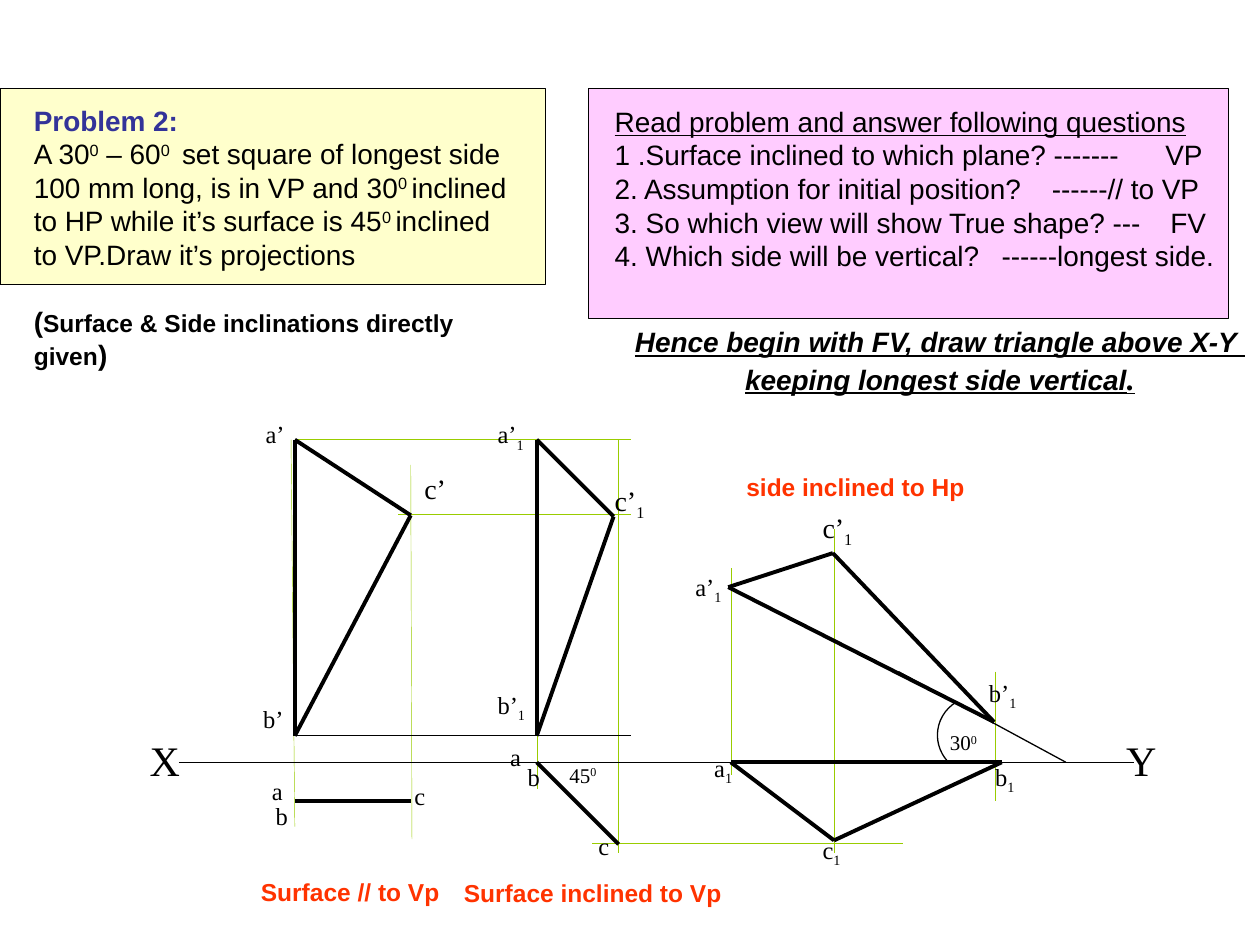
import itertools

import pptx
import pptx.dml.color
import pptx.enum.shapes
import pptx.enum.text
import pptx.oxml
import pptx.oxml.ns
import pptx.util

SANS, SERIF = "Arial", "Times New Roman"
BLACK, GREEN, RED, NAVY = "000000", "99CC00", "FF3300", "333399"
XY = 6.05  # height of the reference line
TOP, BASE = 3.49, 5.84  # ends of the vertical longest side
SUPER, SUB = 30, -25
NOTE = {"name": SANS, "size": pptx.util.Pt(14), "bold": True}
BODY = {"name": SANS, "size": pptx.util.Pt(16)}

# Closed views of the set square, corner by corner.
TRIANGLES = [
    [(2.34, TOP), (3.26, 4.09), (2.34, BASE)],
    [(4.26, TOP), (4.87, 4.1), (4.26, BASE)],
    [(5.78, 4.66), (6.61, 4.39), (7.89, 5.73)],
    [(5.8, XY), (6.62, 6.67), (7.95, XY)],
]
EDGE_VIEWS = [[(2.34, 6.36), (3.26, 6.36)], [(4.26, XY), (4.91, 6.7)]]
PROJECTORS = [
    [(4.91, TOP), (4.91, 6.77)], [(3.26, 3.69), (3.27, 6.66)],
    [(2.31, TOP), (2.34, 6.56)], [(4.26, TOP), (4.26, 6.26)],
    [(2.34, TOP), (5.01, TOP)], [(3.16, 4.08), (5.01, 4.08)],
    [(5.8, 4.51), (5.8, 6.15)], [(6.62, 4.2), (6.62, 6.77)],
    [(7.9, 5.33), (7.9, 6.36)], [(4.7, 6.69), (7.17, 6.69)],
]
THIN_LINES = [
    [(1.42, XY), (9, XY)], [(2.34, BASE), (5.01, BASE)],
    [(7.13, 5.33), (8.46, XY)],
]

# Text, left, top, width, size; text between bars is set off the baseline.
LABELS = [
    ("X", 1.09, 5.78, 0.44, 24), ("Y", 8.84, 5.78, 0.44, 24),
    ("a’", 2.01, 3.28, 0.41, 14), ("b’", 1.99, 5.54, 0.36, 14),
    ("c’", 3.27, 3.69, 0.37, 16),
    ("a", 2.06, 6.11, 0.28, 14), ("b", 2.09, 6.31, 0.3, 14),
    ("c", 3.19, 6.15, 0.28, 14),
    ("a’|1|", 3.85, 3.28, 0.41, 14), ("b’|1|", 3.85, 5.43, 0.42, 14),
    ("c’|1|", 4.78, 3.79, 0.5, 16),
    ("a", 3.95, 5.84, 0.28, 14), ("b", 4.09, 6, 0.3, 14),
    ("c", 4.65, 6.55, 0.28, 14),
    ("a’|1|", 5.42, 4.49, 0.41, 14), ("b’|1|", 7.75, 5.33, 0.42, 14),
    ("c’|1|", 6.43, 4, 0.5, 16),
    ("a|1|", 5.57, 5.93, 0.34, 14), ("b|1|", 7.8, 6, 0.36, 14),
    ("c|1|", 6.43, 6.58, 0.34, 14),
]
ANGLES = [("30|0|", 7.44, 5.74, 0.42, 12), ("45|0|", 4.42, 6, 0.42, 12)]
CAPTIONS = [
    ("Surface // to Vp", 1.92, 6.91, 1.72),
    ("Surface inclined to Vp", 3.53, 6.92, 2.35),
    ("side inclined to Hp", 5.69, 3.7, 2.2),
]
PROBLEM = [
    "A 30|0| – 60|0 | set square of longest side",
    "100 mm long, is in VP and 30|0 |inclined",
    "to HP while it’s surface is 45|0 |inclined",
    "to VP.Draw it’s projections",
]
# Question, answer, tab stop before the answer.
QUESTIONS = [
    ("1 .Surface inclined to which plane? -------", "VP", 4.37),
    ("2. Assumption for initial position?", "------// to VP", 3.47),
    ("3. So which view will show True shape? ---", "FV", 4.41),
    ("4. Which side will be vertical?", "------longest side.", 3.07),
]


def color(value):
    return pptx.dml.color.RGBColor.from_string(value)


def inches(*lengths):
    return [pptx.util.Inches(length) for length in lengths]


def add_line(page, start, end, line_color, width):
    line = page.shapes.add_connector(
        pptx.enum.shapes.MSO_CONNECTOR.STRAIGHT, *inches(*start, *end))
    line.line.color.rgb = color(line_color)
    line.line.width = pptx.util.Pt(width)
    effects = pptx.oxml.parse_xml(
        "<a:effectLst %s/>" % pptx.oxml.ns.nsdecls("a"))
    line._element.spPr.append(effects)


def add_outline(page, kind, place, fill=None):
    """Add a thin black outline shape, filled when a colour is given."""
    shape = page.shapes.add_shape(kind, *inches(*place))
    shape.shadow.inherit = False
    shape.line.color.rgb = color(BLACK)
    shape.line.width = pptx.util.Pt(0.75)
    if fill:
        shape.fill.solid()
        shape.fill.fore_color.rgb = color(fill)
    else:
        shape.fill.background()
    return shape


def add_text_box(page, place, wrap=False):
    box = page.shapes.add_textbox(*inches(*place))
    box.text_frame.word_wrap = wrap
    box.text_frame.auto_size = pptx.enum.text.MSO_AUTO_SIZE.SHAPE_TO_FIT_TEXT
    return box.text_frame


def add_spans(para, text, formats, text_color=BLACK, shift=SUPER):
    """Add text as runs; every second piece between bars is shifted."""
    for index, piece in enumerate(text.split("|")):
        if not piece:
            continue
        span = para.add_run()
        span.text = piece
        for key, value in formats.items():
            setattr(span.font, key, value)
        span.font.color.rgb = color(text_color)
        if index % 2:
            span._r.get_or_add_rPr().set("baseline", str(shift * 1000))


def add_tab_stop(para, position):
    para._p.get_or_add_pPr().append(pptx.oxml.parse_xml(
        '<a:tabLst %s><a:tab pos="%d" algn="l"/></a:tabLst>'
        % (pptx.oxml.ns.nsdecls("a"), pptx.util.Inches(position))))


def add_labels(page, labels, shift):
    for text, left, top, width, size in labels:
        frame = add_text_box(page, (left, top, width, 0.34))
        add_spans(frame.paragraphs[0], text,
                  {"name": SERIF, "size": pptx.util.Pt(size)}, shift=shift)


def add_problem(page):
    add_outline(page, pptx.enum.shapes.MSO_SHAPE.RECTANGLE,
                (0, 0.7, 4.33, 1.56), "FFFFCC")
    frame = add_text_box(page, (0.17, 0.77, 4.15, 2.23), wrap=True)
    add_spans(frame.paragraphs[0], "Problem 2:", BODY | {"bold": True}, NAVY)
    for text in PROBLEM:
        add_spans(frame.add_paragraph(), text, BODY)
    para = frame.add_paragraph()
    para.space_before = pptx.util.Pt(19)
    add_spans(para, "(", BODY | {"bold": True})
    add_spans(para, "Surface & Side inclinations directly given", NOTE)
    add_spans(para, ")", BODY | {"bold": True})


def add_questions(page):
    add_outline(page, pptx.enum.shapes.MSO_SHAPE.RECTANGLE,
                (4.67, 0.7, 5.08, 1.83), "FFCCFF")
    frame = add_text_box(page, (4.78, 0.78, 5.22, 1.43), wrap=True)
    add_spans(frame.paragraphs[0], "Read problem and answer following questions",
              BODY | {"underline": True})
    for question, answer, stop in QUESTIONS:
        para = frame.add_paragraph()
        add_tab_stop(para, stop)
        add_spans(para, question + "\t" + answer, BODY)


def add_conclusion(page):
    frame = add_text_box(page, (4.93, 2.53, 5.06, 0.97))
    strong = BODY | {"bold": True, "italic": True, "underline": True}
    first, second = frame.paragraphs[0], frame.add_paragraph()
    add_spans(first, "Hence begin with FV, draw triangle above X-Y ", strong)
    add_spans(second, "keeping longest side vertical", strong)
    add_spans(second, ".",
              strong | {"name": SERIF, "size": pptx.util.Pt(18)})
    for para in (first, second):
        para.alignment = pptx.enum.text.PP_ALIGN.CENTER


def add_drawing(page):
    sides = [side for corners in TRIANGLES
             for side in itertools.pairwise(corners + corners[:1])]
    for lines, line_color, width in [
            (PROJECTORS, GREEN, 0.25), (THIN_LINES, BLACK, 0.75),
            (sides + EDGE_VIEWS, BLACK, 2.25)]:
        for start, end in lines:
            add_line(page, start, end, line_color, width)
    arc = add_outline(page, pptx.enum.shapes.MSO_SHAPE.ARC,
                      (7.44, 5.53, 0.61, 0.61))
    for index, degrees in enumerate((139, 241)):
        arc.adjustments[index] = degrees * 0.6


def add_captions(page):
    for text, left, top, width in CAPTIONS:
        para = add_text_box(page, (left, top, width, 0.34)).paragraphs[0]
        para.alignment = pptx.enum.text.PP_ALIGN.CENTER
        add_spans(para, text, NOTE, RED)


def main():
    deck = pptx.Presentation()
    deck.slide_width, deck.slide_height = inches(10, 7.5)
    page = deck.slides.add_slide(deck.slide_layouts[6])
    add_problem(page)
    add_questions(page)
    add_drawing(page)
    add_labels(page, LABELS, SUB)
    add_labels(page, ANGLES, SUPER)
    add_conclusion(page)
    add_captions(page)
    deck.save("out.pptx")


if __name__ == "__main__":
    main()
